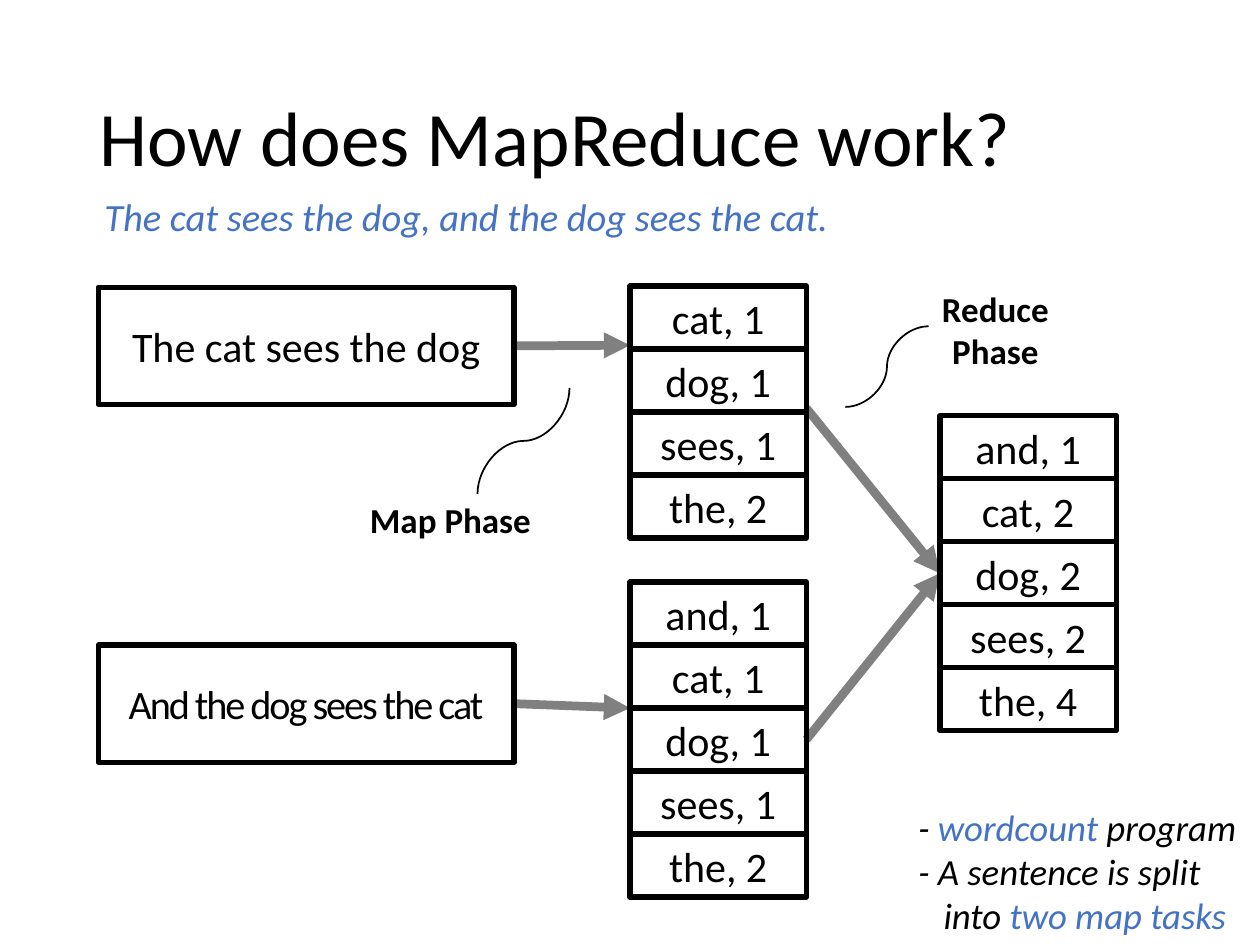
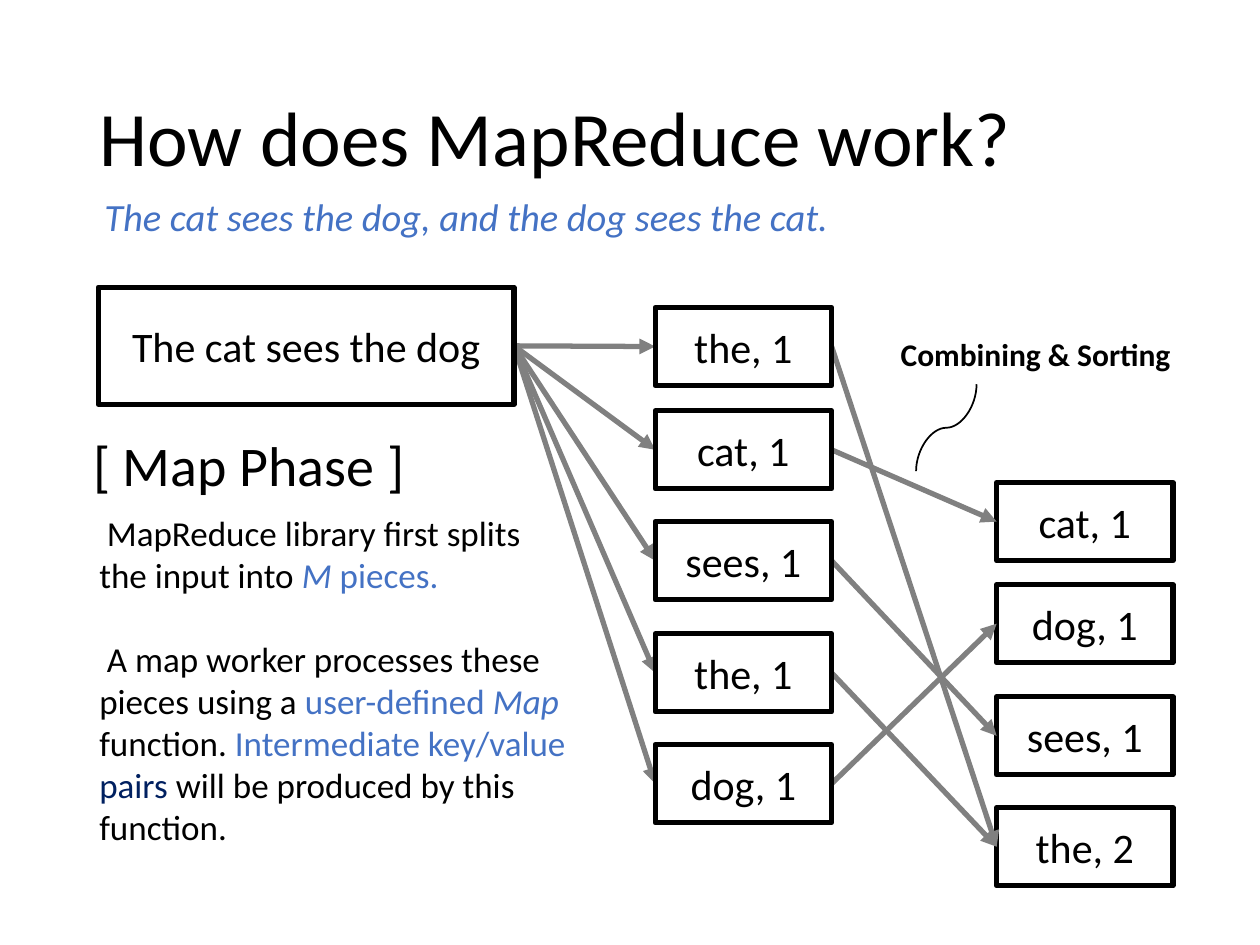
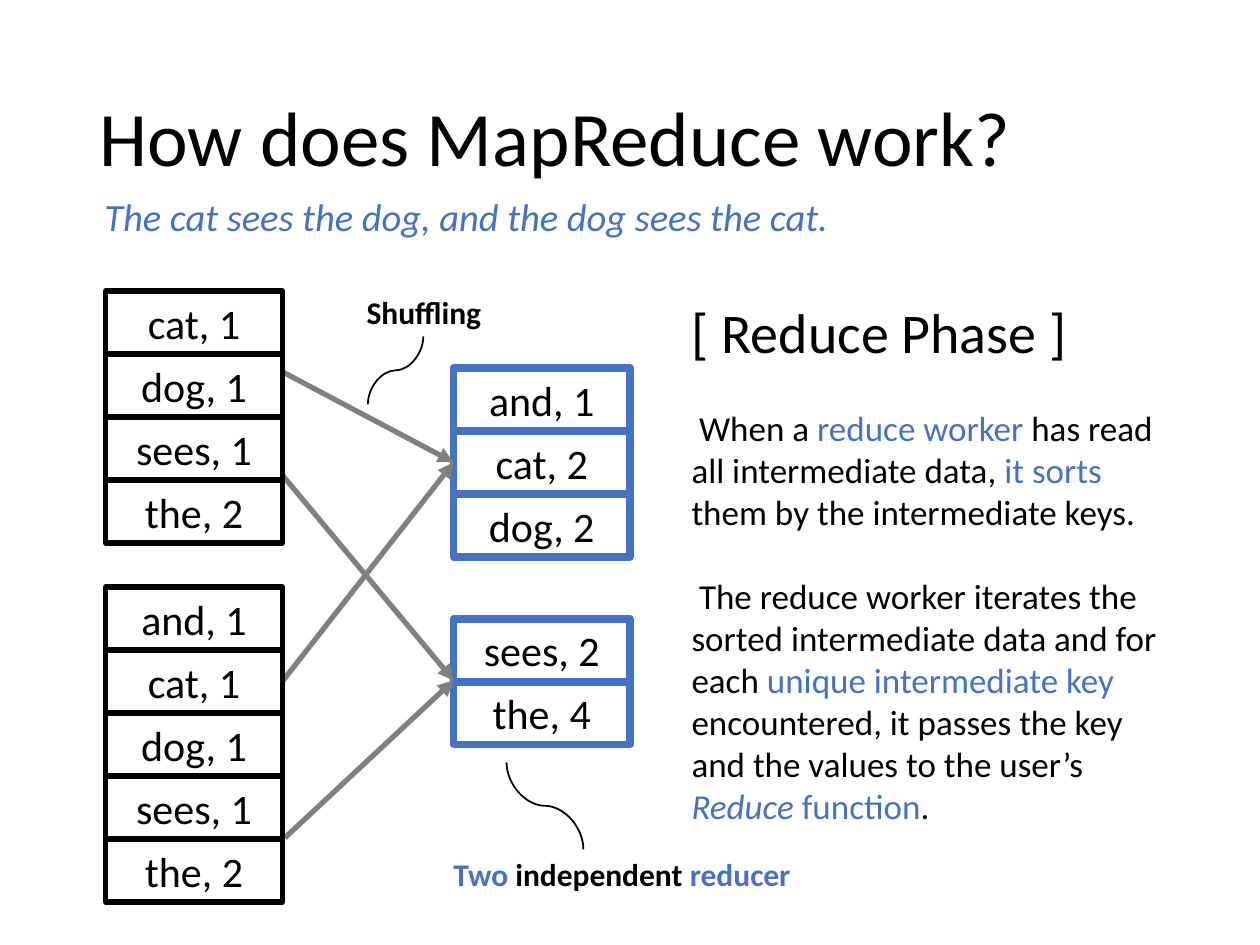
from dataclasses import dataclass
from typing import Optional, Sequence, Union

from lxml import etree
from pptx import Presentation
from pptx import util as u
from pptx.dml.color import RGBColor
from pptx.enum import shapes, text
from pptx.oxml import ns
from pptx.shapes.autoshape import Shape
from pptx.shapes.connector import Connector
from pptx.slide import Slide

BLACK = RGBColor(0x00, 0x00, 0x00)
BLUE = RGBColor(0x44, 0x72, 0xC4)
NAVY = RGBColor(0x00, 0x20, 0x60)
GRAY = RGBColor(0x80, 0x80, 0x80)
FONT = "Calibri"

# Each page is a grid of 100 columns and 75 square rows.
COLUMNS, ROWS = 100, 75
CELL = u.Inches(0.1)

PAIR_WIDTH, PAIR_HEIGHT, LONE_HEIGHT = 14, 5, 6.2
SENTENCE_LEFT, SENTENCE_WIDTH, SENTENCE_HEIGHT = 7.8, 33, 9.3
TOP, LEFT, BOTTOM, RIGHT = range(4)

TITLE = "How does MapReduce work?"
SENTENCE = "The cat sees the dog, and the dog sees the cat."
FIRST_HALF = "The cat sees the dog"
SECOND_HALF = "And the dog sees the cat"
FIRST_COUNTS = ["cat, 1", "dog, 1", "sees, 1", "the, 2"]
SECOND_COUNTS = ["and, 1", "cat, 1", "dog, 1", "sees, 1", "the, 2"]

Point = tuple[float, float]
End = Union[Shape, Point]


@dataclass(frozen=True)
class Area:
    left: float
    top: float
    width: float
    height: float

    def lengths(self) -> list[int]:
        return [cells(v) for v in (self.left, self.top, self.width, self.height)]


@dataclass(frozen=True)
class Span:
    text: str
    color: RGBColor = BLACK
    italic: bool = False
    bold: bool = False


@dataclass(frozen=True)
class Para:
    spans: Sequence[Span]
    before: float = 0
    margin: float = 0
    indent: float = 0


def cells(count: float) -> int:
    return u.Emu(round(count * CELL))


def apply(target: object, values: dict) -> None:
    for name, value in values.items():
        setattr(target, name, value)


def write(box: Shape, paras: Sequence[Para], size: float,
          align=text.PP_ALIGN.LEFT) -> None:
    """Fill the box; a newline in a span becomes a line break."""
    frame = box.text_frame
    for number, item in enumerate(paras):
        para = frame.paragraphs[0] if number == 0 else frame.add_paragraph()
        para.alignment = align
        if item.before:
            para.space_before = u.Pt(item.before)
        if item.margin or item.indent:
            properties = para._p.get_or_add_pPr()
            properties.set("marL", str(cells(item.margin)))
            properties.set("indent", str(cells(item.indent)))
        for span in item.spans:
            for line, words in enumerate(span.text.split("\n")):
                if line:
                    para.add_line_break()
                run = para.add_run()
                run.text = words
                apply(run.font, dict(name=FONT, size=u.Pt(size),
                                     italic=span.italic, bold=span.bold))
                run.font.color.rgb = span.color


def add_text(page: Slide, area: Area, paras: Sequence[Para], size: float,
             align=text.PP_ALIGN.LEFT, wrap: bool = False) -> None:
    box = page.shapes.add_textbox(*area.lengths())
    apply(box.text_frame, dict(word_wrap=wrap,
                               auto_size=text.MSO_AUTO_SIZE.SHAPE_TO_FIT_TEXT))
    write(box, paras, size, align)


def add_label(page: Slide, area: Area, *lines: str, size: float = 18) -> None:
    add_text(page, area, [Para([Span(line, bold=True)]) for line in lines],
             size, text.PP_ALIGN.CENTER)


def add_heading(page: Slide, area: Area, words: str) -> None:
    add_text(page, area, [Para([Span(words)])], 32)


def add_box(page: Slide, area: Area, words: str, color: RGBColor = BLACK,
            weight: float = 3, size: float = 24) -> Shape:
    box = page.shapes.add_shape(shapes.MSO_SHAPE.RECTANGLE, *area.lengths())
    box.shadow.inherit = False
    box.fill.background()
    box.line.color.rgb = color
    box.line.width = u.Pt(weight)
    box.text_frame.vertical_anchor = text.MSO_ANCHOR.MIDDLE
    write(box, [Para([Span(words)])], size, text.PP_ALIGN.CENTER)
    return box


def add_sentence(page: Slide, top: float, words: str, size: float = 24) -> Shape:
    area = Area(SENTENCE_LEFT, top, SENTENCE_WIDTH, SENTENCE_HEIGHT)
    return add_box(page, area, words, size=size)


def add_stack(page: Slide, left: float, top: float, pairs: Sequence[str],
              color: RGBColor = BLACK, weight: float = 3) -> list[Shape]:
    return [add_box(page, Area(left, top + row * PAIR_HEIGHT, PAIR_WIDTH, PAIR_HEIGHT),
                    pair, color, weight)
            for row, pair in enumerate(pairs)]


def add_lone_pairs(page: Slide, left: float, tops: Sequence[float],
                   pairs: Sequence[str]) -> list[Shape]:
    return [add_box(page, Area(left, top, PAIR_WIDTH, LONE_HEIGHT), pair)
            for top, pair in zip(tops, pairs)]


def add_line(page: Slide, kind, start: Point, end: Point, color: RGBColor,
             weight: float) -> Connector:
    line = page.shapes.add_connector(kind, *map(cells, (*start, *end)))
    line.line.color.rgb = color
    line.line.width = u.Pt(weight)
    etree.SubElement(line._element.spPr, ns.qn("a:effectLst"))
    return line


def add_arrow(page: Slide, start: End, end: End, weight: float = 3) -> None:
    """Point right, joining the side of each end that is a box."""
    points = [(0, 0) if isinstance(tip, Shape) else tip for tip in (start, end)]
    arrow = add_line(page, shapes.MSO_CONNECTOR.STRAIGHT, *points, GRAY, weight)
    if isinstance(start, Shape):
        arrow.begin_connect(start, RIGHT)
    if isinstance(end, Shape):
        arrow.end_connect(end, LEFT)
    outline = arrow.line._get_or_add_ln()
    etree.SubElement(outline, ns.qn("a:tailEnd"), type="triangle")


def add_curve(page: Slide, start: Point, end: Point, upright: bool = True) -> None:
    """Draw an S curve that leaves its ends vertically if upright."""
    if upright:  # turn the ends back a quarter, as the shape is turned forward
        middle_x, middle_y = (start[0] + end[0]) / 2, (start[1] + end[1]) / 2
        start, end = [(middle_x + y - middle_y, middle_y - x + middle_x)
                      for x, y in (start, end)]
    curve = add_line(page, shapes.MSO_CONNECTOR.CURVE, start, end, BLACK, 1)
    if upright:
        curve._element.spPr.find(ns.qn("a:xfrm")).set("rot", str(90 * 60000))


def bring_forward(page: Slide, boxes: Sequence[Shape]) -> None:
    for box in boxes:
        page.shapes._spTree.append(box._element)


def add_page(deck) -> Slide:
    page = deck.slides.add_slide(deck.slide_layouts[5])
    title = page.shapes.title
    area = Area(6.9, 4, 86.2, 14.5).lengths()
    apply(title, dict(zip(("left", "top", "width", "height"), area)))
    apply(title.text_frame, dict(vertical_anchor=text.MSO_ANCHOR.MIDDLE, word_wrap=True,
                                 auto_size=text.MSO_AUTO_SIZE.NONE))
    write(title, [Para([Span(TITLE)])], 44)
    title.text_frame.paragraphs[0].line_spacing = 0.9
    add_text(page, Area(7.3, 14.8, 60.5, 4.7),
             [Para([Span(SENTENCE, BLUE, italic=True)])], 22)
    return page


def build_overview(deck) -> None:
    page = add_page(deck)
    first = add_sentence(page, 22.8, FIRST_HALF)
    second = add_sentence(page, 51.2, SECOND_HALF, size=23)
    tight: Optional[object] = second.text_frame.paragraphs[0].runs[0].font._element
    tight.set("spc", "-120")
    first_counts = add_stack(page, 50, 22.7, FIRST_COUNTS)
    second_counts = add_stack(page, 50, 46.2, SECOND_COUNTS)
    totals = add_stack(page, 74.6, 33, ["and, 1", "cat, 2", "dog, 2", "sees, 2", "the, 4"])

    for start, end in [(second_counts[2], totals[2]), ((64, 32.4), totals[2]),
                       (first, (50, 27.4)), (second, (50, 56.2))]:
        add_arrow(page, start, end, weight=5)
    bring_forward(page, [first, second, *first_counts, *second_counts, *totals])

    add_text(page, Area(71.9, 63.4, 28.1, 11.6), [
        Para([Span("- ", italic=True), Span("wordcount ", BLUE, italic=True),
              Span("program", italic=True)]),
        Para([Span("- A sentence is split", italic=True)]),
        Para([Span("into ", italic=True), Span("two map tasks", BLUE, italic=True)],
             margin=2),
    ], 21)
    add_label(page, Area(28.3, 39.1, 14.9, 4.4), "Map Phase", size=20)
    add_label(page, Area(73.7, 22.3, 10.6, 7.7), "Reduce", "Phase", size=20)
    add_curve(page, (37.9, 39.2), (45.2, 30.8))
    add_curve(page, (67.1, 32.3), (73.7, 25.9), upright=False)


def build_map_phase(deck) -> None:
    page = add_page(deck)
    add_heading(page, Area(6.4, 33.7, 27, 6.4), "[ Map Phase ]")
    sentence = add_sentence(page, 22.8, FIRST_HALF)
    words = add_lone_pairs(page, 52, (24.4, 32.6, 41.4, 50.3, 59.1),
                           ["the, 1", "cat, 1", "sees, 1", "the, 1", "dog, 1"])
    merged = add_lone_pairs(page, 79.1, (38.3, 46.4, 55.3, 64.1),
                            ["cat, 1", "dog, 1", "sees, 1", "the, 2"])
    for word in words:
        add_arrow(page, sentence, word)
    for word, target in zip(words, (3, 0, 2, 3, 1)):
        add_arrow(page, word, merged[target])
    bring_forward(page, [*words, sentence])

    add_label(page, Area(70.1, 26.1, 24.2, 4), "Combining & Sorting")
    add_curve(page, (72.7, 37.4), (77.5, 30.5))
    add_text(page, Area(6.9, 40.1, 41, 27.9), [
        Para([Span("MapReduce library first splits\nthe input into "),
              Span("M", BLUE, italic=True), Span(" pieces.", BLUE)], indent=0.6),
        Para([Span("A map worker processes these pieces using a "),
              Span("user-defined ", BLUE), Span("Map ", BLUE, italic=True),
              Span("function. "), Span("Intermediate key/value ", BLUE),
              Span("pairs ", NAVY), Span("will be produced by this function.")],
             before=24, indent=0.6),
    ], 20, wrap=True)


def build_reduce_phase(deck) -> None:
    page = add_page(deck)
    add_heading(page, Area(53.9, 23.1, 32.1, 6.4), "[ Reduce Phase ]")
    first_counts = add_stack(page, 8.4, 23.1, FIRST_COUNTS)
    second_counts = add_stack(page, 8.4, 46.6, SECOND_COUNTS)
    upper = add_stack(page, 36, 29.2, ["and, 1", "cat, 2", "dog, 2"], BLUE, 4.5)
    add_stack(page, 36, 49.1, ["sees, 2", "the, 4"], BLUE, 4.5)
    lower_middle = (36, 54)
    for start, end in [((22.4, 29.5), upper[1]), ((22.4, 37.7), lower_middle),
                       (second_counts[1], upper[1]), ((22.6, 66.5), lower_middle)]:
        add_arrow(page, start, end)
    bring_forward(page, first_counts + second_counts)

    add_label(page, Area(28, 22.8, 11.3, 4), "Shuffling")
    add_curve(page, (29.2, 32.1), (33.6, 26.7))
    add_text(page, Area(35, 67.4, 28.9, 4), [
        Para([Span("Two ", BLUE, bold=True), Span("independent", bold=True),
              Span(" reducer", BLUE, bold=True)])], 18)
    add_curve(page, (40.2, 60.5), (46.3, 67.4))
    add_text(page, Area(53.9, 31.8, 39.3, 34.7), [
        Para([Span("When a "), Span("reduce worker", BLUE),
              Span(" has read all intermediate data, "), Span("it sorts ", BLUE),
              Span("them by the intermediate keys.")], indent=0.6),
        Para([Span("The reduce worker iterates the sorted intermediate data and for each "),
              Span("unique intermediate key ", BLUE),
              Span("encountered, it passes the key and the values to the user’s "),
              Span("Reduce ", BLUE, italic=True), Span("function", BLUE), Span(".")],
             before=24, indent=0.6),
    ], 20, wrap=True)


def main() -> None:
    deck = Presentation()
    deck.slide_width, deck.slide_height = cells(COLUMNS), cells(ROWS)
    for build in (build_overview, build_map_phase, build_reduce_phase):
        build(deck)
    deck.save("out.pptx")


if __name__ == "__main__":
    main()
